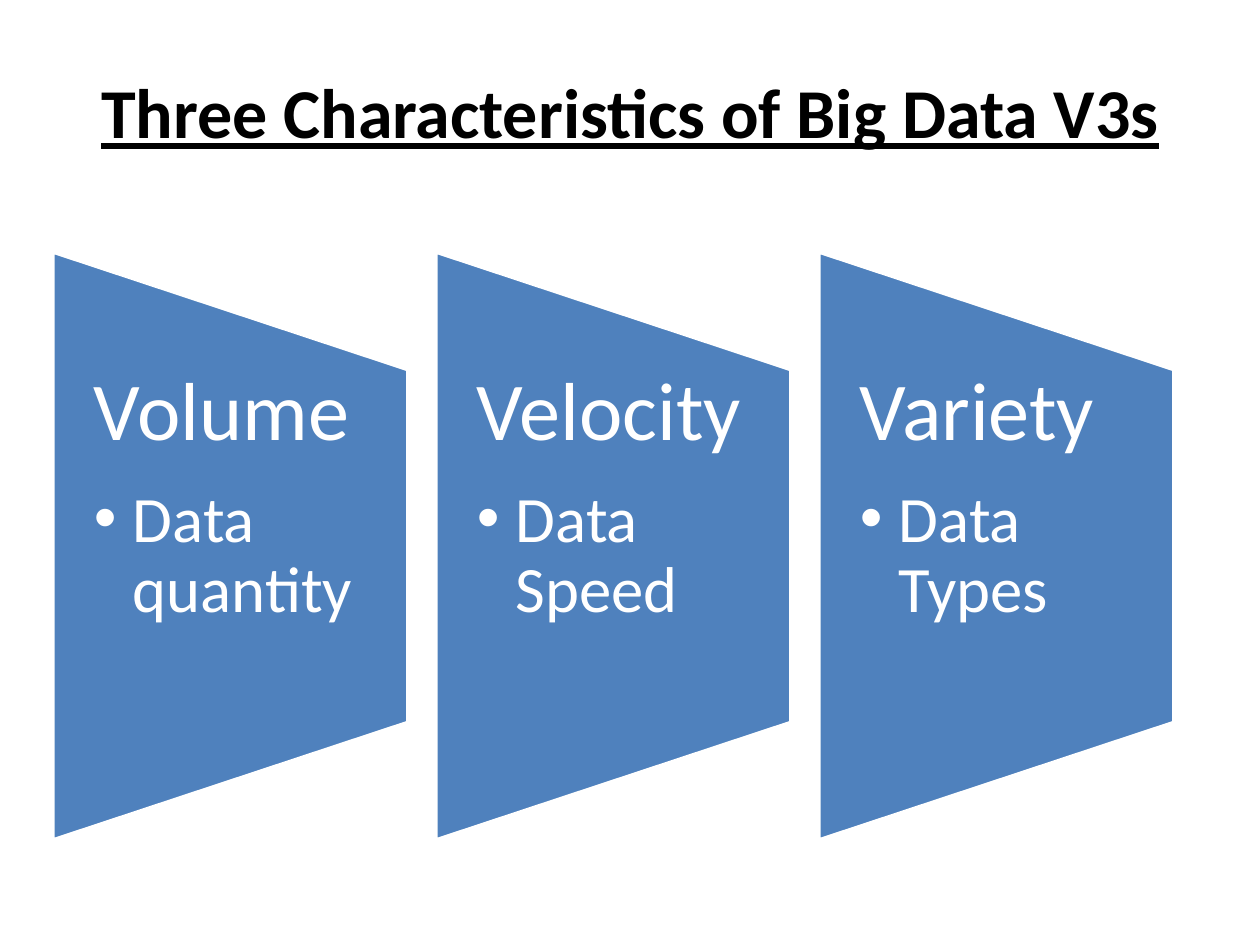
from lxml.etree import SubElement
from pptx import Presentation
from pptx.dml.color import RGBColor
from pptx.enum.shapes import MSO_SHAPE
from pptx.enum.text import MSO_ANCHOR, MSO_AUTO_SIZE, PP_ALIGN
from pptx.oxml.ns import qn
from pptx.util import Pt

EMU_PER_PX = 914400 / 126
PANELS = [("Volume", "Data quantity"), ("Velocity", "Data Speed"), ("Variety", "Data Types")]
TITLE_FONT = {"name": "Calibri", "size": Pt(40), "bold": True, "underline": True}
HEAD_FONT = {"name": "Calibri", "size": Pt(47)}
ITEM_FONT = {"name": "Calibri", "size": Pt(37)}
HEAD_PARA = {"line_spacing": 0.9, "space_after": Pt(16)}
ITEM_PARA = {"line_spacing": 0.9, "space_after": Pt(6), "level": 1}


def px(n):
    """Turn pixels into EMU."""
    return round(n * EMU_PER_PX)


def rgb(value):
    """Turn a hex string into a colour."""
    return RGBColor.from_string(value)


def apply(obj, values):
    """Set attributes from a dict of format values."""
    for name, value in values.items():
        setattr(obj, name, value)


def add_text(p, text, font, color):
    """Add one formatted run to a paragraph."""
    r = p.add_run()
    r.text = text
    apply(r.font, font)
    r.font.color.rgb = rgb(color)


def add_bullet(p, indent):
    """Give a paragraph a round bullet with a hanging indent."""
    pPr = p._p.get_or_add_pPr()
    pPr.set("marL", str(px(indent)))
    pPr.set("indent", str(-px(indent)))
    SubElement(pPr, qn("a:buFont")).set("typeface", "Arial")
    SubElement(pPr, qn("a:buChar")).set("char", "•")


def add_title(s, x, y, w, h):
    """Place and format the slide title."""
    sp = s.shapes.title
    apply(sp, {"left": px(x), "top": px(y), "width": px(w), "height": px(h)})
    tf = sp.text_frame
    apply(tf, {"auto_size": MSO_AUTO_SIZE.NONE, "vertical_anchor": MSO_ANCHOR.MIDDLE})
    p = tf.paragraphs[0]
    p.alignment = PP_ALIGN.CENTER
    add_text(p, "Three Characteristics of Big Data V3s", TITLE_FONT, "000000")


def add_panel(s, x, y, w, h, head, item):
    """Draw a sideways trapezoid with a heading and a bulleted item."""
    shift = (h - w) / 2
    sp = s.shapes.add_shape(MSO_SHAPE.FLOWCHART_MANUAL_OPERATION,
                            px(x - shift), px(y + shift), px(h), px(w))
    sp.rotation = 270
    sp.shadow.inherit = False
    sp.fill.solid()
    sp.fill.fore_color.rgb = rgb("4F81BD")
    sp.line.color.rgb = rgb("FFFFFF")
    sp.line.width = Pt(2)

    tf = s.shapes.add_textbox(px(x), px(y + h / 5), px(w), px(h * 3 / 5)).text_frame
    apply(tf, {"word_wrap": True, "margin_left": px(41), "margin_right": px(41),
               "margin_top": 0, "margin_bottom": 0})
    p = tf.paragraphs[0]
    apply(p, HEAD_PARA)
    add_text(p, head, HEAD_FONT, "FFFFFF")
    p = tf.add_paragraph()
    apply(p, ITEM_PARA)
    add_bullet(p, 39)
    add_text(p, item, ITEM_FONT, "FFFFFF")


def main():
    """Build the slide and save it."""
    prs = Presentation()
    apply(prs, {"slide_width": px(1260), "slide_height": px(945)})
    s = prs.slides.add_slide(prs.slide_layouts[5])
    add_title(s, 87, 53, 1086, 116)
    for i, (head, item) in enumerate(PANELS):
        add_panel(s, 53 + 383 * i, 252, 355, 588, head, item)
    prs.save("out.pptx")


if __name__ == "__main__":
    main()
